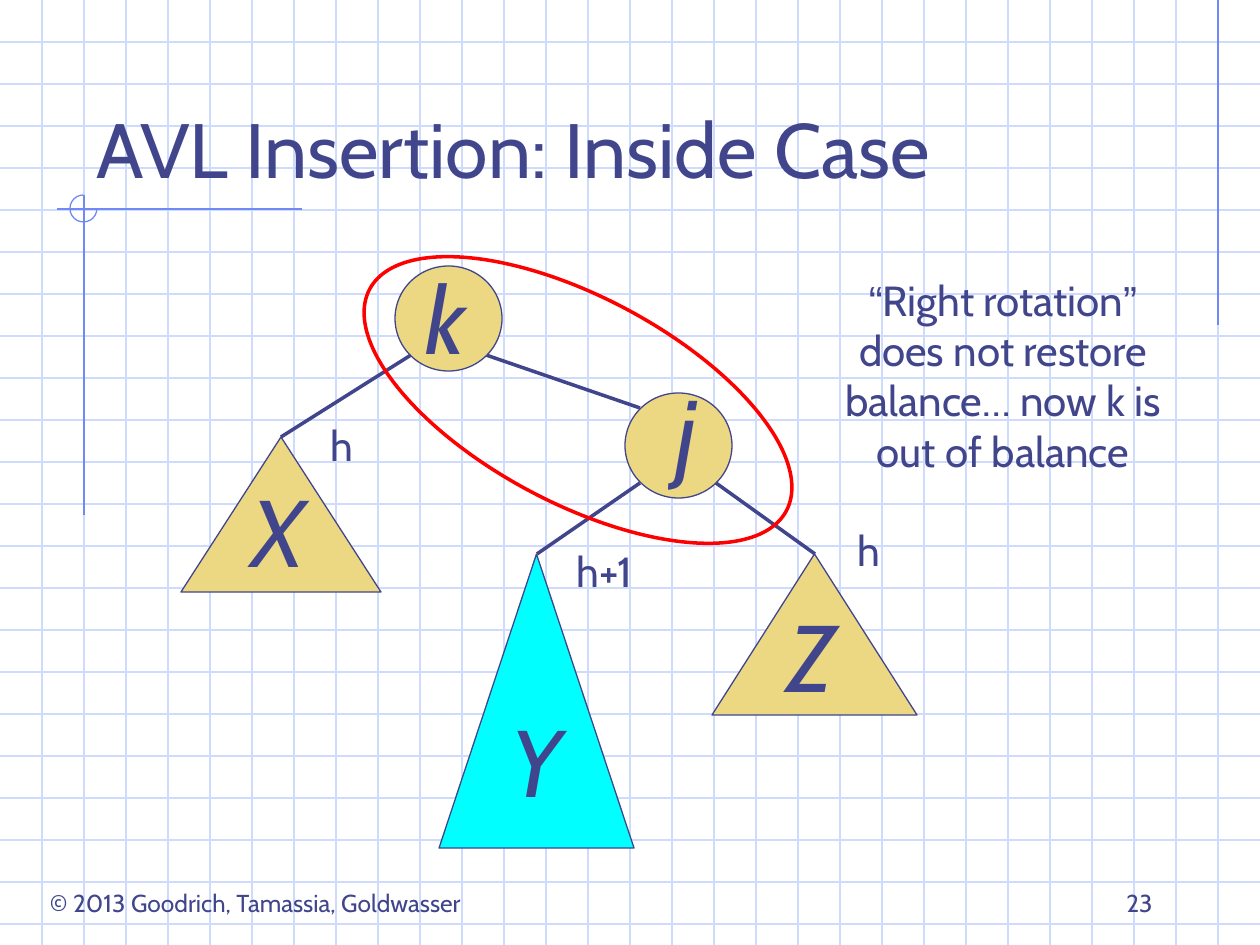
"""Build the slide on the inside case of AVL insertion."""
from dataclasses import dataclass

from lxml.etree import SubElement
from pptx import Presentation
from pptx.dml.color import RGBColor
from pptx.enum.shapes import MSO_CONNECTOR, MSO_SHAPE
from pptx.enum.text import MSO_ANCHOR, MSO_AUTO_SIZE, PP_ALIGN
from pptx.oxml.ns import qn
from pptx.util import Emu, Pt


@dataclass(frozen=True)
class Theme:
    ink: RGBColor = RGBColor.from_string("40458C")
    grid: RGBColor = RGBColor.from_string("CFDBFD")
    accent: RGBColor = RGBColor.from_string("6F89F7")
    sand: RGBColor = RGBColor.from_string("ECD882")
    cyan: RGBColor = RGBColor.from_string("00FFFF")
    red: RGBColor = RGBColor.from_string("FF0000")
    font: str = "Cabin"
    quote_font: str = "Arial"
    title: int = 44
    letter: int = 54
    body: int = 24
    footer: int = 14
    thin: float = 0.75
    thick: float = 2


theme = Theme()
PX = 914400 / 126
WIDTH, HEIGHT, STEP = 1260, 945, 42

deck = Presentation()
deck.slide_width, deck.slide_height = Emu(round(WIDTH * PX)), Emu(round(HEIGHT * PX))
page = deck.slides.add_slide(deck.slide_layouts[5])


def add_line(points, color, weight):
    connector = page.shapes.add_connector(
        MSO_CONNECTOR.STRAIGHT, *(Emu(round(value * PX)) for value in points))
    connector.line.color.rgb = color
    connector.line.width = Pt(weight)
    SubElement(connector.element.spPr, qn("a:effectLst"))


def write(box, lines, size, align=PP_ALIGN.CENTER, anchor=MSO_ANCHOR.TOP, wrap=True, italic=False):
    frame = box.text_frame
    frame.word_wrap = wrap
    frame.auto_size = MSO_AUTO_SIZE.NONE
    frame.vertical_anchor = anchor
    for index, spans in enumerate(lines):
        para = frame.add_paragraph() if index else frame.paragraphs[0]
        para.alignment = align
        for words, font in spans:
            span = para.add_run()
            span.text = words
            span.font.name = font
            span.font.size = Pt(size)
            span.font.italic = italic
            span.font.color.rgb = theme.ink


for y in range(STEP, HEIGHT, STEP):
    add_line((0, y, WIDTH, y), theme.grid, theme.thin)
for x in range(STEP, WIDTH, STEP):
    add_line((x, 0, x, HEIGHT), theme.grid, theme.thin)
for points in ((1218, 0, 1218, 325), (302, 209, 57, 209), (84, 195, 84, 515)):
    add_line(points, theme.accent, theme.thin)

title = page.shapes.title
page.shapes.element.append(title.element)
title.left, title.top, title.width, title.height = (
    Emu(round(value * PX)) for value in (84, 42, 1071, 158))
write(title, [[("AVL Insertion: Inside Case", theme.font)]], theme.title,
      PP_ALIGN.LEFT, MSO_ANCHOR.BOTTOM)

edges = [
    (640, 483, 537, 554),
    (411, 355, 281, 437),
    (716, 483, 815, 554),
    (486, 355, 640, 408),
]
for points in edges:
    add_line(points, theme.ink, theme.thick)

outlines = [
    (MSO_SHAPE.ARC, (70, 195, 27, 27), None, theme.accent, theme.thin),
    (MSO_SHAPE.OVAL, (625, 393, 107, 105), theme.sand, theme.ink, theme.thin),
    (MSO_SHAPE.OVAL, (395, 266, 107, 105), theme.sand, theme.ink, theme.thin),
    (MSO_SHAPE.ISOSCELES_TRIANGLE, (181, 437, 200, 155), theme.sand, theme.ink, theme.thin),
    (MSO_SHAPE.ISOSCELES_TRIANGLE, (439, 554, 195, 294), theme.cyan, theme.ink, theme.thin),
    (MSO_SHAPE.ISOSCELES_TRIANGLE, (712, 554, 205, 161), theme.sand, theme.ink, theme.thin),
    (MSO_SHAPE.OVAL, (342, 297, 472, 206), None, theme.red, theme.thick),
]
for kind, place, fill, color, weight in outlines:
    shape = page.shapes.add_shape(kind, *(Emu(round(value * PX)) for value in place))
    shape.shadow.inherit = False
    if fill is None:
        shape.fill.background()
    else:
        shape.fill.solid()
        shape.fill.fore_color.rgb = fill
    shape.line.color.rgb = color
    shape.line.width = Pt(weight)
    if kind == MSO_SHAPE.ARC:
        shape.adjustments[0], shape.adjustments[1] = 0, 162
    if color == theme.red:
        shape.rotation = 28

letters = [("j", 654, 367), ("k", 413, 254), ("X", 239, 467), ("Y", 498, 697), ("Z", 775, 592)]
for letter, left, top in letters:
    box = page.shapes.add_textbox(*(Emu(round(value * PX)) for value in (left, top, 66, 126)))
    write(box, [[(letter, theme.font)]], theme.letter, italic=True)

remark = [
    [("“", theme.quote_font), ("Right rotation", theme.font), ("”", theme.quote_font)],
    [("does not restore", theme.font)],
    [("balance… now k is", theme.font)],
    [("out of balance", theme.font)],
]
center, top, bottom = PP_ALIGN.CENTER, MSO_ANCHOR.TOP, MSO_ANCHOR.BOTTOM
texts = [
    ((812, 268, 382, 214), remark, theme.body, center, top, False),
    ((846, 518, 46, 63), [[("h", theme.font)]], theme.body, center, top, False),
    ((555, 539, 99, 63), [[("h+1", theme.font)]], theme.body, center, top, False),
    ((317, 413, 50, 63), [[("h", theme.font)]], theme.body, center, top, False),
    ((11, 882, 489, 43), [[("© 2013 Goodrich, Tamassia, Goldwasser", theme.font)]],
     theme.footer, center, top, False),
    ((903, 861, 262, 63), [[("23", theme.font)]], theme.footer, PP_ALIGN.RIGHT, bottom, True),
]
for place, lines, size, align, anchor, wrap in texts:
    box = page.shapes.add_textbox(*(Emu(round(value * PX)) for value in place))
    write(box, lines, size, align, anchor, wrap)

deck.save("out.pptx")
